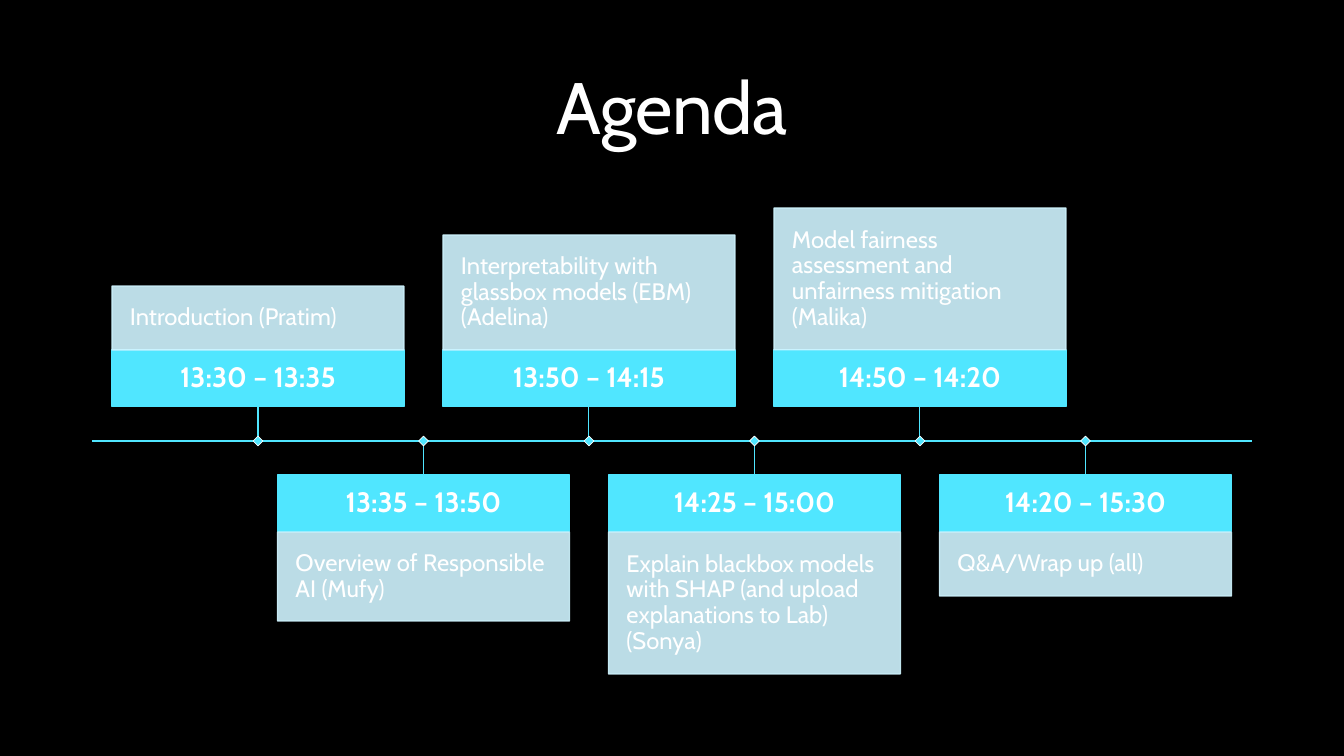
from pptx import Presentation, util as u
from pptx.dml.color import RGBColor
from pptx.enum import shapes, text
from pptx.oxml.ns import qn
from lxml import etree

SCALE = 914400 / 100.8
COLORS = {"back": "000000", "white": "FFFFFF", "cyan": "50E6FF", "pale": "D0F5FF"}


def px(n):
    """Turn pixels into EMU."""
    return u.Emu(round(n * SCALE))


def tint(form, name, alpha=100):
    """Paint a solid fill, with opacity in percent."""
    form.solid()
    form.fore_color.rgb = RGBColor.from_string(COLORS[name])
    if alpha < 100:
        color = form._xPr.find(".//" + qn("a:srgbClr"))
        etree.SubElement(color, qn("a:alpha"), val=str(alpha * 1000))


def write(shape, words, size=17, bold=False, align="LEFT", anchor="MIDDLE",
          pad=0, lead=1.0, track=0):
    """Put formatted words into a shape."""
    frame = shape.text_frame
    frame.word_wrap = True
    frame.vertical_anchor = text.MSO_ANCHOR[anchor]
    frame.margin_left = frame.margin_right = px(pad)
    frame.margin_top = frame.margin_bottom = px(pad)
    para = frame.paragraphs[0]
    para.alignment = text.PP_ALIGN[align]
    para.line_spacing = lead
    run = para.add_run()
    run.text = words
    font = run.font
    font.name, font.size, font.bold = "Cabin", u.Pt(size), bold
    font.color.rgb = RGBColor.from_string(COLORS["white"])
    if track:
        run._r.get_or_add_rPr().set("spc", str(track))


class Deck:
    """Holds the style and the current slide."""

    def __init__(self):
        """Open a black blank slide."""
        self.file = Presentation()
        self.file.slide_width, self.file.slide_height = px(1344), px(756)
        self.slide = self.file.slides.add_slide(self.file.slide_layouts[6])
        tint(self.slide.background.fill, "back")

    def label(self, x, y, w, h, words, **style):
        """Add a text box."""
        box = self.slide.shapes.add_textbox(px(x), px(y), px(w), px(h))
        write(box, words, **style)

    def rect(self, x, y, w, h, fill, edge, width=0.85, alpha=100, turn=0):
        """Add a filled rectangle."""
        kind = shapes.MSO_SHAPE.RECTANGLE
        box = self.slide.shapes.add_shape(kind, px(x), px(y), px(w), px(h))
        box.shadow.inherit = False
        box.rotation = turn
        tint(box.fill, fill, alpha)
        tint(box.line.fill, edge, alpha)
        box.line.width = u.Pt(width)
        return box

    def line(self, x1, y1, x2, y2, width=0.75):
        """Add a straight cyan line."""
        kind = shapes.MSO_CONNECTOR.STRAIGHT
        rule = self.slide.shapes.add_connector(kind, px(x1), px(y1), px(x2), px(y2))
        tint(rule.line.fill, "cyan")
        rule.line.width = u.Pt(width)
        etree.SubElement(rule._element.spPr, qn("a:effectLst"))


AXIS, STEM, LEFT, STEP = 441, 34, 112, 165.5
WIDE, TALL, DOT = 292, 57, 7
EVENTS = [
    ("13:30 – 13:35", "Introduction (Pratim)", 64),
    ("13:35 – 13:50", "Overview of Responsible AI (Mufy)", 89),
    ("13:50 – 14:15", "Interpretability with glassbox models (EBM) (Adelina)", 115),
    ("14:25 – 15:00", "Explain blackbox models with SHAP (and upload "
                      "explanations to Lab) (Sonya)", 142),
    ("14:50 – 14:20", "Model fairness assessment and unfairness mitigation (Malika)", 142),
    ("14:20 – 15:30", "Q&A/Wrap up (all)", 64),
]

deck = Deck()
deck.label(92, 62, 1160, 125, "Agenda", size=52, align="CENTER", anchor="TOP", track=-50)
deck.line(92, AXIS, 1252, AXIS, 0.85)
for i, (time, topic, high) in enumerate(EVENTS):
    x = LEFT + i * STEP
    mid = x + WIDE / 2
    if i % 2:
        end = AXIS + STEM
        top, body = end, end + TALL
    else:
        end = AXIS - STEM
        top = end - TALL
        body = top - high
    slot = deck.rect(x, top, WIDE, TALL, "cyan", "cyan")
    write(slot, time, size=20, bold=True, align="CENTER", pad=11, lead=0.9)
    card = deck.rect(x, body, WIDE, high, "pale", "pale", alpha=90)
    write(card, topic, pad=18, lead=0.9)
    deck.line(mid, AXIS, mid, end)
    deck.rect(mid - DOT / 2, AXIS - DOT / 2, DOT, DOT, "cyan", "white", 0.5, turn=45)
deck.file.save("out.pptx")
